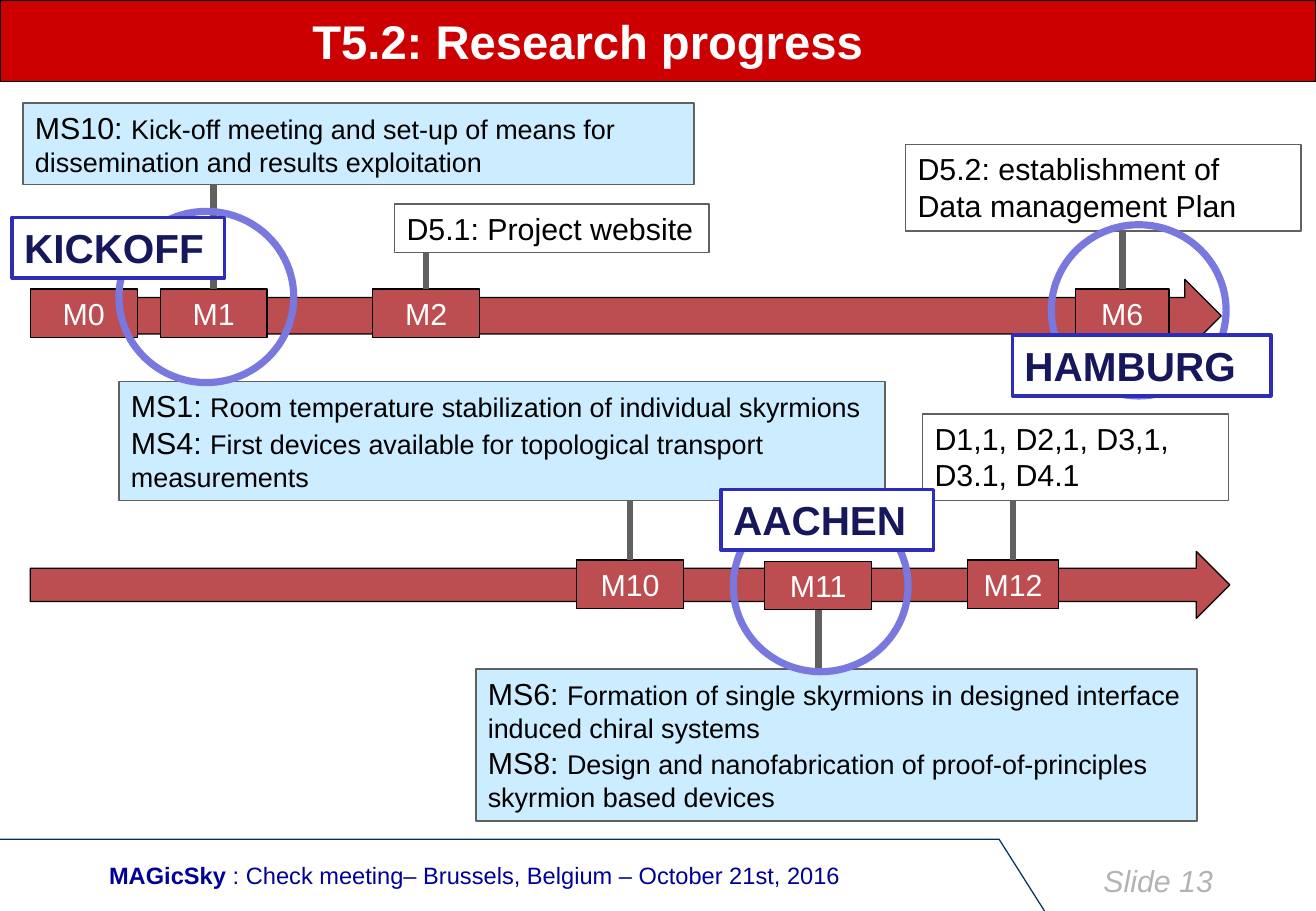
from pptx import Presentation
from pptx.dml.color import RGBColor
from pptx.enum.shapes import MSO_CONNECTOR, MSO_SHAPE
from pptx.enum.text import MSO_ANCHOR, PP_ALIGN
from pptx.util import Inches, Pt
from lxml import etree

RECT, ARROW, OVAL = MSO_SHAPE.RECTANGLE, MSO_SHAPE.RIGHT_ARROW, MSO_SHAPE.OVAL
LEFT, CENTER = PP_ALIGN.LEFT, PP_ALIGN.CENTER
TOP, MIDDLE = MSO_ANCHOR.TOP, MSO_ANCHOR.MIDDLE
CELL = Inches(0.1)  # side of a grid cell; every place below is in cells
COLS, ROWS = 108.4, 75
RED, BLACK, WHITE, GREY, PALE = "BC4D51", "000000", "FFFFFF", "606060", "CCECFF"
A = "http://schemas.openxmlformats.org/drawingml/2006/main"

prs = Presentation()
prs.slide_width, prs.slide_height = int(COLS * CELL), int(ROWS * CELL)
s = prs.slides.add_slide(prs.slide_layouts[6])


def rgb(color):
    return RGBColor.from_string(color)


def box(place, kind=RECT, fill=None, line=None, weight=0.75, paragraphs=(),
        color=BLACK, align=LEFT, anchor=TOP):
    """Draw a shape; each paragraph is a list of (text, size, bold) runs."""
    sp = s.shapes.add_shape(kind, *[int(v * CELL) for v in place])
    sp.shadow.inherit = False
    if fill:
        sp.fill.solid()
        sp.fill.fore_color.rgb = rgb(fill)
    else:
        sp.fill.background()
    if line:
        sp.line.color.rgb = rgb(line)
        sp.line.width = Pt(weight)
    else:
        sp.line.fill.background()
    tf = sp.text_frame
    tf.word_wrap = True
    tf.vertical_anchor = anchor
    for i, runs in enumerate(paragraphs):
        p = tf.add_paragraph() if i else tf.paragraphs[0]
        p.alignment = align
        p.font.name = "Arial"
        p.font.color.rgb = rgb(color)
        for text, size, bold in runs:
            r = p.add_run()
            r.text = text
            r.font.size = Pt(size)
            r.font.bold = bold
    return sp


# Header and footer
box((0, 0, COLS, 6.7), fill="CC0000", line=BLACK)
box((0, 0, 96.8, 6.7), paragraphs=[[("T5.2: Research progress", 28, True)]],
    color=WHITE, align=CENTER, anchor=MIDDLE)
outline = s.shapes.build_freeform(0, int(69.1 * CELL))
outline.add_line_segments(
    [(int(x * CELL), int(y * CELL)) for x, y in ((82.3, 69.1), (86.1, 75.1), (108.2, 75.1))],
    close=False)
footer_line = outline.convert_to_shape()
footer_line.shadow.inherit = False
footer_line.fill.background()
footer_line.line.color.rgb = rgb("003366")
footer_line.line.width = Pt(0.75)
box((8, 70.4, 64.2, 3.3), fill=WHITE, color="000099", anchor=MIDDLE, paragraphs=[
    [("MAGicSky", 14, True),
     (" : Check meeting– Brussels, Belgium – October 21st, 2016", 14, False)]])
number = box((89.9, 70.5, 13.8, 4), paragraphs=[[("Slide 13", 18, False)]], color="B3B3B3")
number.text_frame.paragraphs[0].font.italic = True

# Timelines
box((2.9, 23, 97.7, 6), ARROW, RED, BLACK)
box((2.5, 45.4, 98.8, 5.5), ARROW, RED, BLACK)

# Months: label, left, top, width, row where the stem starts, side it joins
months = [
    ("M0", 2.5, 23.8, 8.8, None, 0),
    ("M1", 13.2, 23.8, 8.8, 15.2, 0),
    ("M2", 30.7, 23.8, 8.8, 20.8, 0),
    ("M6", 88.6, 23.8, 7.7, 19, 0),
    ("M10", 47.5, 46.1, 8.8, 41.2, 0),
    ("M11", 63, 46.2, 8.8, 55.1, 2),
    ("M12", 79.7, 46.1, 7.5, 41.2, 0),
]
for label, x, y, w, stem_row, side in months:
    month = box((x, y, w, 4), fill=RED, line=BLACK, color=WHITE, align=CENTER,
                paragraphs=[[(label, 18, False)]])
    if stem_row is None:
        continue
    middle, start = int((x + w / 2) * CELL), int(stem_row * CELL)
    stem = s.shapes.add_connector(MSO_CONNECTOR.STRAIGHT, middle, start, middle, start)
    stem.end_connect(month, side)
    stem.line.color.rgb = rgb(GREY)
    stem.line.width = Pt(4)
    etree.SubElement(stem._element.spPr, f"{{{A}}}effectLst")

# Deliverables (no fill) and milestones (pale fill): heading and detail per paragraph
notes = [
    ((32.5, 16.8, 25.9, 4), None, [("D5.1: Project website", "")]),
    ((1.9, 8.5, 55.3, 6.7), PALE, [
        ("MS10: ", "Kick-off meeting and set-up of means for dissemination "
                   "and results exploitation")]),
    ((74.6, 11.9, 32.6, 7.1), None, [("D5.2: establishment of Data management Plan", "")]),
    ((9.8, 31.4, 63.1, 9.8), PALE, [
        ("MS1: ", "Room temperature stabilization of individual skyrmions"),
        ("MS4: ", "First devices available for topological transport measurements")]),
    ((39.2, 55.1, 59.4, 12.5), PALE, [
        ("MS6: ", "Formation of single skyrmions in designed interface "
                  "induced chiral systems"),
        ("MS8: ", "Design and nanofabrication of proof-of-principles "
                  "skyrmion based devices")]),
    ((76, 34.1, 25.2, 7.1), None, [("D1,1, D2,1, D3,1, D3.1, D4.1", "")]),
]
for place, fill, lines in notes:
    box(place, fill=fill, line=GREY, weight=1, paragraphs=[
        [(text, size, False) for text, size in ((head, 18), (detail, 16)) if text]
        for head, detail in lines])

# Meetings: all rings first, then the name plates over them
meetings = [
    ("KICKOFF", (9.8, 17.4), (1, 17.9, 17.5, 5)),
    ("HAMBURG", (86.6, 18.5), (83.4, 27.6, 21.3, 5)),
    ("AACHEN", (60.4, 41.2), (59.4, 40.3, 17.5, 5)),
]
for _, corner, _ in meetings:
    box((*corner, 14.4, 14.1), OVAL, line="7878DE", weight=4.25)
for name, _, plate in meetings:
    box(plate, fill=WHITE, line="2D2DB9", weight=2, color="17175C",
        paragraphs=[[(name, 24, True)]])

prs.save("out.pptx")
